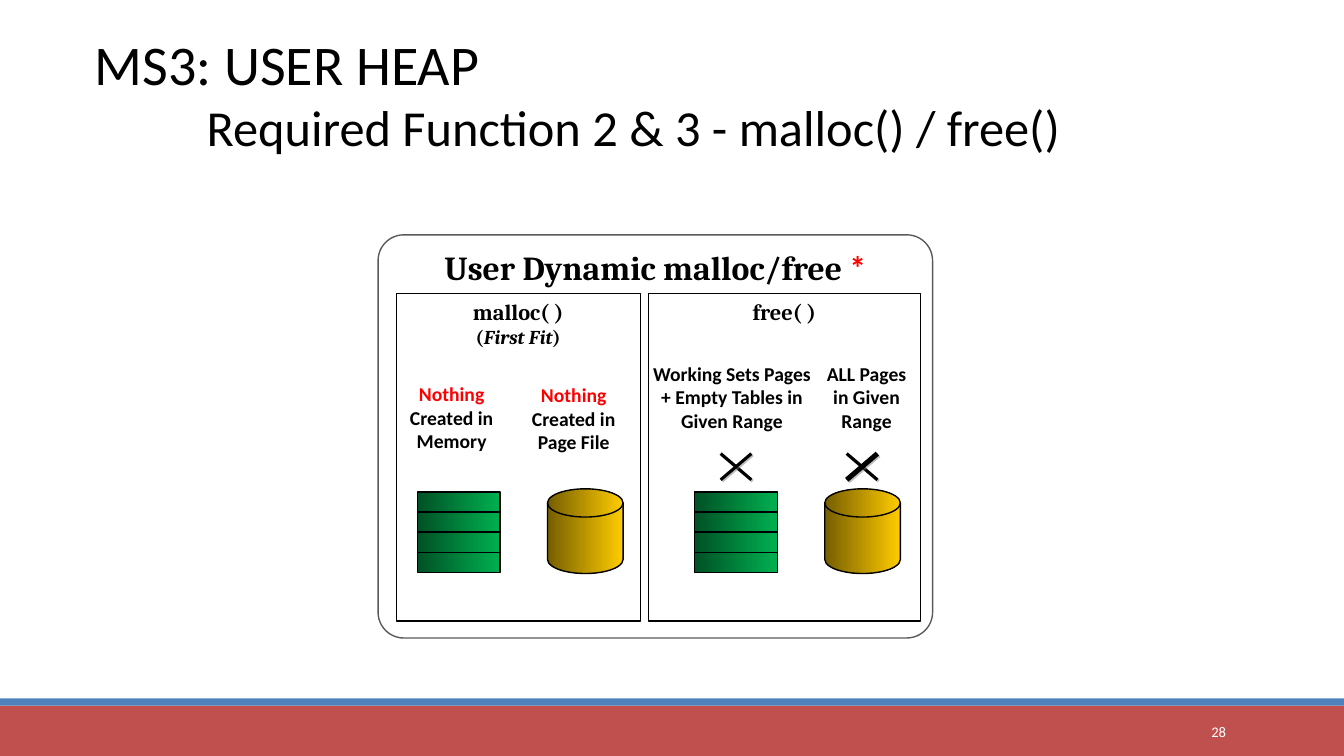
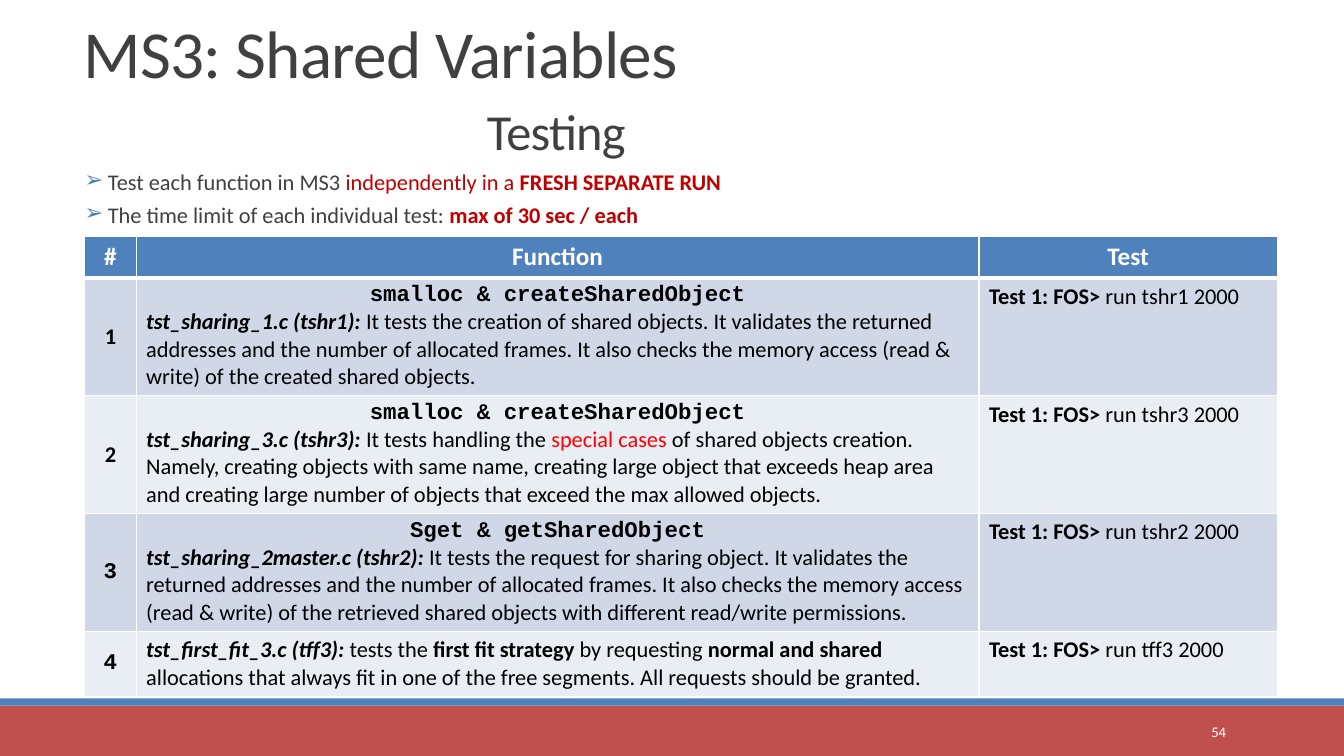
import math
import pptx
import pptx.dml.color
import pptx.enum.shapes
import pptx.enum.text
import pptx.oxml
import pptx.oxml.ns
import pptx.util

Inches = pptx.util.Inches
Pt = pptx.util.Pt
SHAPE = pptx.enum.shapes.MSO_SHAPE
ALIGN = pptx.enum.text.PP_ALIGN
ANCHOR = pptx.enum.text.MSO_ANCHOR

COLORS = {
    "white": "FFFFFF", "black": "000000", "text": "404040", "outline": "5A5A5A",
    "band": "C0504D", "accent": "4F81BD", "red": "FF0000", "dark_red": "C00000",
    "row_odd": "D0D8E8", "row_even": "E9EDF4",
    "green_dark": "005125", "green": "00B050", "gold_dark": "765E00", "gold": "FFCC00",
    "shadow": "7F7F7F",
}
BANDS = [("band", 7, 0.5), ("accent", 6.93, 0.07)]

HEADING = {"font": "Cambria", "size": 16, "bold": True}
LABEL = {"size": 14, "bold": True}
NOTHING = ("Nothing", {"color": "red"})
PANELS = [
    {
        "left": 3.93, "width": 2.42, "stack_left": 4.14, "disk_left": 5.43,
        "heading": [("malloc( )", {}), ("\n", {}), ("(", {"size": 14}),
                    ("First Fit", {"size": 14, "italic": True}), (")", {"size": 14})],
        "labels": [
            ((3.93, 3.75, 1.1, 0.94), 0.04, [NOTHING, (" Created in Memory", {})]),
            ((5.05, 3.76, 1.28, 0.9), 0.04, [NOTHING, (" Created in Page File", {})]),
        ],
        "crosses": [],
    },
    {
        "left": 6.43, "width": 2.7, "stack_left": 6.89, "disk_left": 8.18,
        "heading": [("free( )", {})],
        "labels": [
            ((6.47, 3.59, 1.58, 1.1), 0,
             [("Working Sets Pages + Empty Tables in Given Range", {})]),
            ((8.11, 3.59, 0.97, 0.83), 0, [("ALL Pages in Given Range", {})]),
        ],
        "crosses": [(7.3, 2.2, 2.2), (8.55, 2.2, 3.6)],
    },
]

BULLETS = [
    [("Test each function in MS3 ", {}), ("independently in a ", {"color": "dark_red"}),
     ("FRESH SEPARATE RUN", {"color": "dark_red", "bold": True})],
    [("The time limit of each individual test: ", {}),
     ("max of 30 sec / each", {"color": "dark_red", "bold": True})],
]

COLUMN_WIDTHS = [0.51, 8.36, 2.96]
ROW_HEIGHTS = [0.39, 1.17, 1.17, 1.17, 0.64]
HEADERS = ["#", "Function", "Test"]
TESTS = [
    ("Calibri", "smalloc & createSharedObject", "tst_sharing_1.c (tshr1): ",
     [("It tests the creation of shared objects. It validates the returned addresses and the "
       "number of allocated frames. It also checks the memory access (read & write) of the "
       "created shared objects.", {})], "tshr1"),
    ("Calibri", "smalloc & createSharedObject", "tst_sharing_3.c (tshr3): ",
     [("It tests handling the ", {}), ("special cases ", {"color": "red"}),
      ("of shared objects creation. Namely, creating objects with same name, creating large "
       "object that exceeds heap area and creating large number of objects that exceed the "
       "max allowed objects.", {})], "tshr3"),
    ("Courier New", "Sget & getSharedObject", "tst_sharing_2master.c (tshr2): ",
     [("It tests the request for sharing object. It validates the returned addresses and the "
       "number of allocated frames. It also checks the memory access (read & write) of the "
       "retrieved shared objects with different read/write permissions.", {})], "tshr2"),
    ("Courier New", None, "tst_first_fit_3.c (tff3): ",
     [("tests the ", {}), ("first fit strategy ", {"bold": True}), ("by requesting ", {}),
      ("normal and shared ", {"bold": True}),
      ("allocations that always fit in one of the free segments. All requests should be "
       "granted.", {})], "tff3"),
]


def rgb(name):
    return pptx.dml.color.RGBColor.from_string(COLORS[name])


def box(left, top, width, height):
    return [Inches(value) for value in (left, top, width, height)]


def add_xml(parent, markup):
    namespace = pptx.oxml.ns.nsdecls("a")
    head, tail = markup.split(">", 1)
    closing = "/" if head.endswith("/") else ""
    head = head[:-1] if closing else head
    parent.append(pptx.oxml.parse_xml(f"{head} {namespace}{closing}>{tail}"))


def set_frame(frame, anchor=ANCHOR.TOP, inset=(0.1, 0.05)):
    frame.word_wrap = True
    frame.auto_size = pptx.enum.text.MSO_AUTO_SIZE.NONE
    frame.vertical_anchor = anchor
    frame.margin_left = frame.margin_right = Inches(inset[0])
    frame.margin_top = frame.margin_bottom = Inches(inset[1])


def write(frame, index, runs, align=ALIGN.LEFT, before=0, after=0, spacing=None, indent=0,
          hanging=0, **base):
    paragraph = frame.paragraphs[0] if index == 0 else frame.add_paragraph()
    paragraph.alignment = align
    paragraph.space_before, paragraph.space_after = Pt(before), Pt(after)
    if spacing:
        paragraph.line_spacing = spacing
    properties = paragraph._p.get_or_add_pPr()
    properties.set("marL", str(Inches(indent)))
    properties.set("indent", str(Inches(-hanging)))
    for text, changes in runs:
        if text == "\n":
            paragraph.add_line_break()
            continue
        style = {"font": "Calibri", "size": 16, "color": "black", **base, **changes}
        run = paragraph.add_run()
        run.text = text
        run.font.name = style["font"]
        run.font.size = Pt(style["size"])
        run.font.bold = style.get("bold", False)
        run.font.italic = style.get("italic", False)
        run.font.color.rgb = rgb(style["color"])
        if "tracking" in style:
            run._r.get_or_add_rPr().set("spc", str(style["tracking"]))
    return paragraph


def add_block(shapes, kind, place, fill, line=None):
    shape = shapes.add_shape(kind, *box(*place))
    shape.shadow.inherit = False
    if isinstance(fill, tuple):
        shape.fill.gradient()
        shape.fill.gradient_angle = 0
        for stop, name in zip(shape.fill.gradient_stops, fill):
            stop.color.rgb = rgb(name)
    else:
        shape.fill.solid()
        shape.fill.fore_color.rgb = rgb(fill)
    if line:
        shape.line.color.rgb = rgb(line)
        shape.line.width = Pt(1)
    else:
        shape.line.fill.background()
    return shape


def add_text(shapes, place, runs, anchor=ANCHOR.TOP, inset=(0.1, 0.05), **style):
    frame = shapes.add_textbox(*box(*place)).text_frame
    set_frame(frame, anchor, inset)
    write(frame, 0, runs, **style)


def place_title(slide, place, anchor):
    title = slide.shapes.title
    title.left, title.top, title.width, title.height = box(*place)
    set_frame(title.text_frame, anchor)
    return title.text_frame


def add_page_number(slide, number):
    add_text(slide.shapes, (10.83, 7.06, 1.43, 0.4), [(number, {})], ANCHOR.MIDDLE,
             align=ALIGN.RIGHT, size=10.5, color="white")


def add_master_bands(presentation, slide):
    tree = presentation.slide_master.shapes.element
    for position, (fill, top, height) in enumerate(BANDS):
        band = add_block(slide.shapes, SHAPE.RECTANGLE, (0, top, 13.33, height), fill)
        tree.insert(2 + position, band.element)


def add_cross(shapes, center, weights):
    half_width = 0.2 * math.cos(math.radians(40.5))
    half_height = 0.2 * math.sin(math.radians(40.5))
    for direction, weight in zip((1, -1), weights):
        stroke = shapes.add_connector(
            pptx.enum.shapes.MSO_CONNECTOR.STRAIGHT,
            *box(center - half_width, 4.63 - direction * half_height,
                 center + half_width, 4.63 + direction * half_height))
        stroke.line.color.rgb = rgb("black")
        stroke.line.width = Pt(weight)
        add_xml(stroke.element.spPr,
                '<a:effectLst><a:outerShdw blurRad="0" dist="17780" dir="2700000">'
                f'<a:srgbClr val="{COLORS["shadow"]}"><a:alpha val="50000"/></a:srgbClr>'
                '</a:outerShdw></a:effectLst>')


def add_panel(slide, panel):
    shapes = slide.shapes.add_group_shape().shapes
    frame = add_block(shapes, SHAPE.RECTANGLE, (panel["left"], 2.91, panel["width"], 3.25),
                      "white", "black").text_frame
    set_frame(frame, inset=(0.02, 0.05))
    write(frame, 0, panel["heading"], ALIGN.CENTER, after=10, **HEADING)
    add_block(shapes, SHAPE.FLOWCHART_MAGNETIC_DISK, (panel["disk_left"], 4.85, 0.75, 0.84),
              ("gold_dark", "gold"), "black")
    for level in range(4):
        add_block(shapes, SHAPE.RECTANGLE, (panel["stack_left"], 4.88 + 0.2 * level, 0.82, 0.2),
                  ("green_dark", "green"), "black")
    for place, inset, runs in panel["labels"]:
        add_text(shapes, place, runs, inset=(inset, inset), align=ALIGN.CENTER, **LABEL)
    for center, *weights in panel["crosses"]:
        add_cross(shapes, center, weights)


def build_heap_slide(slide):
    title = place_title(slide, (0.84, 0.3, 10.33, 1.25), ANCHOR.MIDDLE)
    write(title, 0, [("MS3: USER HEAP", {})], size=40)
    write(title, 1, [("Required Function 2 & 3 - malloc() / free()", {})], indent=1.11, size=36)
    card = add_block(slide.shapes, SHAPE.ROUNDED_RECTANGLE, (3.75, 2.33, 5.5, 4),
                     "white", "outline")
    card.adjustments[0] = 0.064
    set_frame(card.text_frame)
    write(card.text_frame, 0,
          [("User Dynamic malloc/free ", {}), ("*", {"font": "Calibri", "color": "red"})],
          ALIGN.CENTER, after=10, font="Cambria", size=24, bold=True)
    for panel in PANELS:
        add_panel(slide, panel)
    add_page_number(slide, "28")


def style_cell(cell, fill, bottom=1, anchor=ANCHOR.MIDDLE):
    for side, width in (("L", 1), ("R", 1), ("T", 1), ("B", bottom)):
        add_xml(cell._tc.get_or_add_tcPr(),
                f'<a:ln{side} w="{Pt(width)}"><a:solidFill><a:srgbClr val="{COLORS["white"]}"/>'
                f'</a:solidFill></a:ln{side}>')
    cell.fill.solid()
    cell.fill.fore_color.rgb = rgb(fill)
    cell.vertical_anchor = anchor
    return cell.text_frame


def add_test_table(slide):
    table = slide.shapes.add_table(len(ROW_HEIGHTS), len(COLUMN_WIDTHS),
                                   *box(0.84, 2.35, sum(COLUMN_WIDTHS), sum(ROW_HEIGHTS))).table
    for column, width in zip(table.columns, COLUMN_WIDTHS):
        column.width = Inches(width)
    for row, height in zip(table.rows, ROW_HEIGHTS):
        row.height = Inches(height)
    for index, header in enumerate(HEADERS):
        frame = style_cell(table.cell(0, index), "accent", 3, ANCHOR.TOP)
        write(frame, 0, [(header, {})], ALIGN.CENTER, size=18, color="white", bold=True)
    for number, (font, functions, source, description, command) in enumerate(TESTS, 1):
        fill = "row_odd" if number % 2 else "row_even"
        frame = style_cell(table.cell(number, 0), fill)
        write(frame, 0, [(str(number), {})], ALIGN.CENTER, font=font, bold=True)
        frame = style_cell(table.cell(number, 1), fill)
        if functions:
            write(frame, 0, [(functions, {})], ALIGN.CENTER, font="Courier New", bold=True)
        write(frame, 1 if functions else 0,
              [(source, {"bold": True, "italic": True})] + description)
        frame = style_cell(table.cell(number, 2), fill, anchor=ANCHOR.TOP)
        write(frame, 0, [("Test 1: FOS>", {"bold": True}), (f" run {command} 2000", {})])


def build_testing_slide(slide):
    title = place_title(slide, (0.73, 0, 11, 1.65), ANCHOR.BOTTOM)
    style = {"spacing": 0.85, "color": "text", "tracking": -50}
    write(title, 0, [("MS3: Shared Variables", {})], size=48, **style)
    write(title, 1, [("Testing", {})], before=12.5, indent=4, size=36, **style)
    body = slide.placeholders[1]
    body.left, body.top, body.width, body.height = box(0.84, 1.73, 11, 0.62)
    set_frame(body.text_frame, inset=(0, 0.05))
    for index, runs in enumerate(BULLETS):
        paragraph = write(body.text_frame, index, runs, before=12, after=2, spacing=0.5,
                          indent=0.23, hanging=0.23, color="text")
        properties = paragraph._p.get_or_add_pPr()
        add_xml(properties, f'<a:buClr><a:srgbClr val="{COLORS["accent"]}"/></a:buClr>')
        add_xml(properties, '<a:buChar char="➢"/>')
    add_test_table(slide)
    add_page_number(slide, "54")


def main():
    presentation = pptx.Presentation()
    presentation.slide_width, presentation.slide_height = Inches(13.33), Inches(7.5)
    heap_slide = presentation.slides.add_slide(presentation.slide_layouts[5])
    add_master_bands(presentation, heap_slide)
    build_heap_slide(heap_slide)
    build_testing_slide(presentation.slides.add_slide(presentation.slide_layouts[1]))
    presentation.save("out.pptx")


if __name__ == "__main__":
    main()
